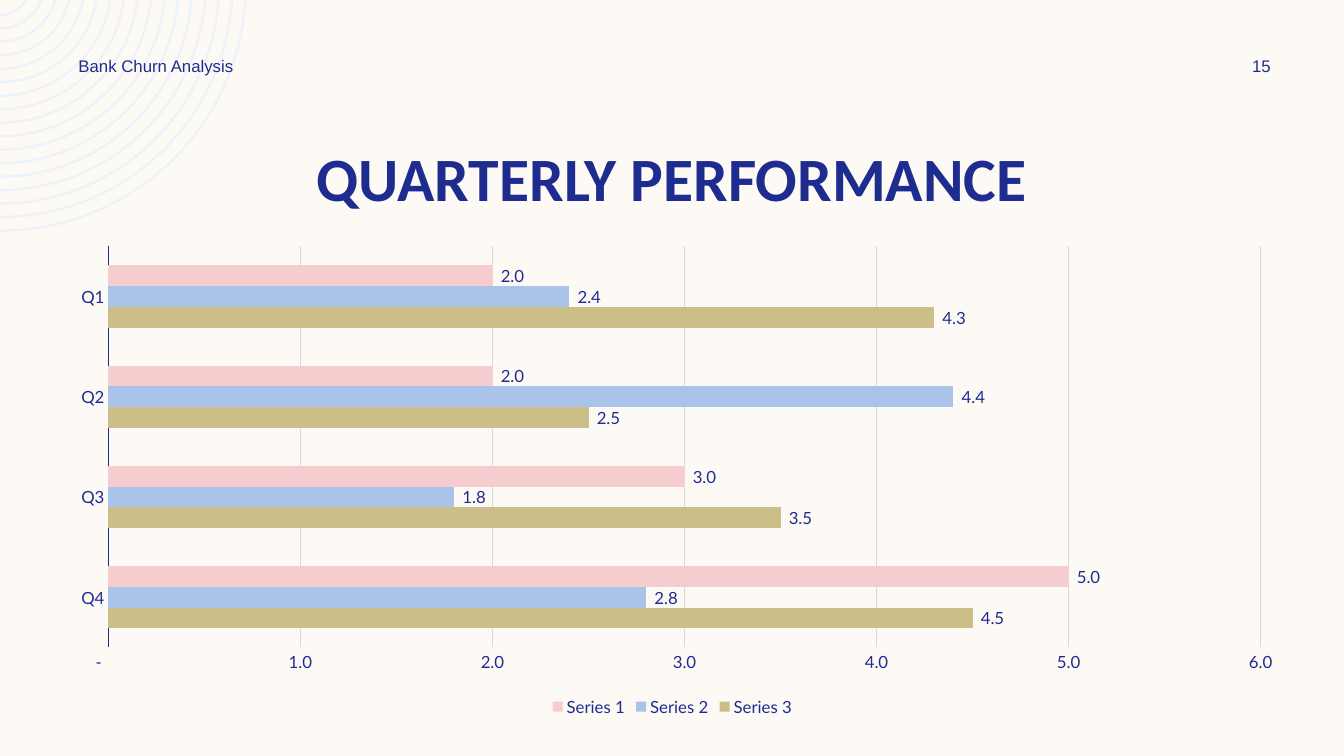
from dataclasses import dataclass
from math import asin, cos, pi, sin, tan

from pptx import Presentation
from pptx.chart.chart import Chart
from pptx.chart.data import CategoryChartData
from pptx.dml.color import RGBColor
from pptx.enum.chart import XL_CHART_TYPE, XL_LABEL_POSITION, XL_LEGEND_POSITION, XL_TICK_MARK
from pptx.enum.text import MSO_ANCHOR, MSO_AUTO_SIZE, PP_ALIGN
from pptx.oxml import parse_xml
from pptx.oxml.ns import nsdecls
from pptx.shapes.autoshape import Shape
from pptx.slide import Slide
from pptx.text.text import Font
from pptx.util import Pt

COLORS = {
    "background": "FDFAF6",
    "rings": "EEF3FA",
    "navy": "1F2C8F",
    "grid": "D9D9D9",
    "rose": "F5CDCE",
    "blue": "AAC3E8",
    "olive": "CCBE89",
}
NUMBER_FORMAT = '_(* #,##0.0_);_(* \\(#,##0.0\\);_(* "-"??_);_(@_)'
QUARTERS = ("Q4", "Q3", "Q2", "Q1")
PLOT_AREA = {"x": 0.04, "y": 0.03, "w": 0.94, "h": 0.82}


@dataclass(frozen=True)
class Series:
    name: str
    values: tuple[float, ...]
    color: str


@dataclass(frozen=True)
class HeaderText:
    text: str
    left: float
    width: float
    alignment: PP_ALIGN


PERFORMANCE = (
    Series("Series 3", (4.5, 3.5, 2.5, 4.3), "olive"),
    Series("Series 2", (2.8, 1.8, 4.4, 2.4), "blue"),
    Series("Series 1", (5, 3, 2, 2), "rose"),
)
HEADER = (
    HeaderText("Bank Churn Analysis", 49, 252, PP_ALIGN.LEFT),
    HeaderText("15", 862, 78, PP_ALIGN.CENTER),
)


def rgb(name: str) -> RGBColor:
    return RGBColor.from_string(COLORS[name])


def style_font(font: Font, family: str, size: float, bold: bool = False) -> None:
    font.name = family
    font.size = Pt(size)
    font.bold = bold
    font.color.rgb = rgb("navy")


def ring_arc(radius: float, center_y: float) -> list[tuple[Pt, Pt]]:
    start = asin(-center_y / radius)
    handle = radius * 4 / 3 * tan((pi / 2 - start) / 4)
    x, y = radius * cos(start), center_y + radius * sin(start)
    bottom = center_y + radius
    bezier = (
        (x, y),
        (x - handle * sin(start), y + handle * cos(start)),
        (handle, bottom),
        (0, bottom),
    )
    return [(Pt(across), Pt(down)) for across, down in bezier]


def curve_rings(rings: Shape) -> None:
    segments = rings.element.xpath(".//a:lnTo")
    for ring_start in range(0, len(segments), 7):
        for arc_start in (ring_start, ring_start + 4):
            curve = parse_xml(f'<a:cubicBezTo {nsdecls("a")}/>')
            segments[arc_start].addprevious(curve)
            for segment in segments[arc_start:arc_start + 3]:
                curve.append(segment[0])
                segment.getparent().remove(segment)


def draw_rings(slide: Slide) -> Shape:
    center_y, smallest, pitch, thickness = -11, 22.5, 9.63, 1.8
    radii = [smallest + index * pitch for index in range(17)]
    outlines = [
        ring_arc(radius, center_y) + ring_arc(radius - thickness, center_y)[::-1] for radius in radii
    ]
    builder = slide.shapes.build_freeform(*outlines[0][0])
    for index, outline in enumerate(outlines):
        if index:
            builder.move_to(*outline[0])
        builder.add_line_segments(outline[1:], close=True)
    rings = builder.convert_to_shape()
    curve_rings(rings)
    rings.shadow.inherit = False
    rings.fill.solid()
    rings.fill.fore_color.rgb = rgb("rings")
    rings.line.fill.background()
    return rings


def draw_title(slide: Slide) -> None:
    title = slide.shapes.title
    title.left, title.top, title.width, title.height = Pt(60), Pt(96), Pt(840), Pt(60.5)
    frame = title.text_frame
    frame.text = "QUARTERLY PERFORMANCE"
    frame.auto_size = MSO_AUTO_SIZE.NONE
    frame.vertical_anchor = MSO_ANCHOR.MIDDLE
    paragraph = frame.paragraphs[0]
    paragraph.alignment = PP_ALIGN.CENTER
    style_font(paragraph.font, "Calibri", 44, bold=True)


def draw_header(slide: Slide, header: HeaderText) -> None:
    frame = slide.shapes.add_textbox(Pt(header.left), Pt(36), Pt(header.width), Pt(21.6)).text_frame
    frame.word_wrap = True
    frame.vertical_anchor = MSO_ANCHOR.MIDDLE
    frame.text = header.text
    paragraph = frame.paragraphs[0]
    paragraph.alignment = header.alignment
    style_font(paragraph.font, "Arial", 12)


def set_plot_area(chart: Chart) -> None:
    modes = "".join(f'<c:{side}Mode val="edge"/>' for side in "xy")
    sizes = "".join(f'<c:{side} val="{share}"/>' for side, share in PLOT_AREA.items())
    layout = parse_xml(
        f'<c:layout {nsdecls("c")}><c:manualLayout><c:layoutTarget val="inner"/>'
        f"{modes}{sizes}</c:manualLayout></c:layout>"
    )
    plot_area = chart.element.xpath("c:chart/c:plotArea")[0]
    for automatic in plot_area.xpath("c:layout"):
        plot_area.remove(automatic)
    plot_area.insert(0, layout)


def style_axes(chart: Chart) -> None:
    for axis in (chart.category_axis, chart.value_axis):
        axis.major_tick_mark = axis.minor_tick_mark = XL_TICK_MARK.NONE
        style_font(axis.tick_labels.font, "Lato", 12)
    quarter_line = chart.category_axis.format.line
    quarter_line.color.rgb = rgb("navy")
    quarter_line.width = Pt(0.75)
    values = chart.value_axis
    values.minimum_scale, values.maximum_scale, values.major_unit = 0, 6, 1
    values.format.line.fill.background()
    values.tick_labels.number_format = NUMBER_FORMAT
    values.tick_labels.number_format_is_linked = False
    values.has_major_gridlines = True
    values.major_gridlines.format.line.color.rgb = rgb("grid")
    values.major_gridlines.format.line.width = Pt(0.75)


def draw_chart(slide: Slide) -> None:
    data = CategoryChartData(number_format=NUMBER_FORMAT)
    data.categories = QUARTERS
    for series in PERFORMANCE:
        data.add_series(series.name, series.values)
    chart = slide.shapes.add_chart(
        XL_CHART_TYPE.BAR_CLUSTERED, Pt(42.5), Pt(165.6), Pt(875.5), Pt(349.2), data
    ).chart
    style_font(chart.font, "Lato", 12)
    chart.has_title = False
    chart.has_legend = True
    chart.legend.position = XL_LEGEND_POSITION.BOTTOM
    chart.legend.include_in_layout = False
    style_font(chart.legend.font, "Lato", 12)
    set_plot_area(chart)
    style_axes(chart)

    plot = chart.plots[0]
    plot.gap_width = 182
    plot.vary_by_categories = False
    for bars, series in zip(plot.series, PERFORMANCE):
        bars.format.fill.solid()
        bars.format.fill.fore_color.rgb = rgb(series.color)
        labels = bars.data_labels
        labels.show_value = True
        labels.position = XL_LABEL_POSITION.OUTSIDE_END
        labels.number_format = NUMBER_FORMAT
        labels.number_format_is_linked = False
        style_font(labels.font, "Lato", 12)


def main() -> None:
    presentation = Presentation()
    presentation.slide_width, presentation.slide_height = Pt(960), Pt(540)
    slide = presentation.slides.add_slide(presentation.slide_layouts[5])
    slide.background.fill.solid()
    slide.background.fill.fore_color.rgb = rgb("background")
    rings = draw_rings(slide)
    slide.shapes.title.element.addprevious(rings.element)
    draw_title(slide)
    draw_chart(slide)
    for header in HEADER:
        draw_header(slide, header)
    presentation.save("out.pptx")


if __name__ == "__main__":
    main()
